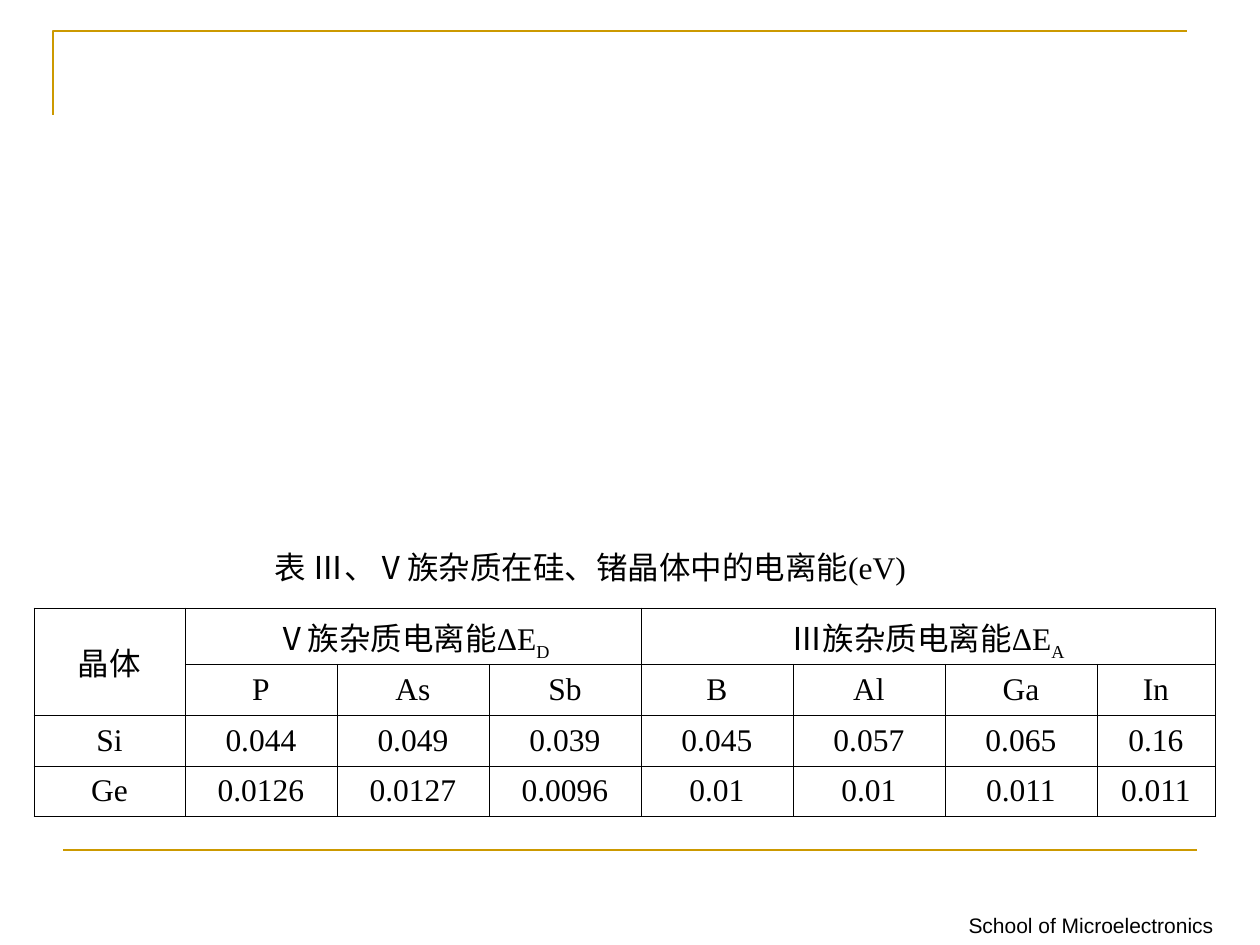
from dataclasses import dataclass

from lxml import etree
from pptx import Presentation
from pptx.dml.color import RGBColor
from pptx.enum.shapes import MSO_CONNECTOR
from pptx.enum.text import MSO_ANCHOR, PP_ALIGN
from pptx.oxml.ns import qn
from pptx.util import Pt

LINE = MSO_CONNECTOR.STRAIGHT
TOP, MID = MSO_ANCHOR.TOP, MSO_ANCHOR.MIDDLE
MID_AL, RIGHT = PP_ALIGN.CENTER, PP_ALIGN.RIGHT
SCALE = 914400 / 126  # EMU in one px


@dataclass(frozen=True)
class Theme:
    gold: str = "CC9900"
    ink: str = "000000"
    serif: str = "Times New Roman"
    sans: str = "Arial"
    body: float = 18
    small: float = 12
    rule: float = 1.5
    edge: float = 0.45
    hair: float = 0.06


THEME = Theme()

COLS = [151] + [152] * 6 + [118]
ROWS = [56, 51, 51, 50]
ROOT = (0, 0)
# Text at (row, column): rows down, columns across
SPANS = {ROOT: (2, 1), (0, 1): (1, 3), (0, 4): (1, 4)}
DATA = [
    ["晶体", "Ⅴ族杂质电离能ΔE|D", "", "", "Ⅲ族杂质电离能ΔE|A", "", "", ""],
    ["", "P", "As", "Sb", "B", "Al", "Ga", "In"],
    ["Si", "0.044", "0.049", "0.039", "0.045", "0.057", "0.065", "0.16"],
    ["Ge", "0.0126", "0.0127", "0.0096", "0.01", "0.01", "0.011", "0.011"],
]


def px(*vals):
    return [round(v * SCALE) for v in vals]


def write(frame, text, font=THEME.serif, size=THEME.body, align=MID_AL,
          before=0):
    """Write one paragraph; what follows a bar is set as a subscript."""
    para = frame.paragraphs[0]
    para.alignment = align
    para.space_before = Pt(before)
    for i, part in enumerate(text.split("|")):
        run = para.add_run()
        run.text = part
        run.font.name, run.font.size, run.font.bold = font, Pt(size), False
        run.font.color.rgb = RGBColor.from_string(THEME.ink)
        if i:
            run.font._element.set("baseline", "-25000")


def label(slide, box, text, anchor=TOP, wrap=True, **form):
    frame = slide.shapes.add_textbox(*px(*box)).text_frame
    frame.word_wrap = wrap
    frame.vertical_anchor = anchor
    write(frame, text, **form)


def stroke(shape):
    shape.line.color.rgb = RGBColor.from_string(THEME.gold)
    shape.line.width = Pt(THEME.rule)


def corner(slide, box):
    x, y, w, h = px(*box)
    pen = slide.shapes.build_freeform(x, y + h)
    pen.add_line_segments([(x, y), (x + w, y)], close=False)
    shape = pen.convert_to_shape()
    shape.shadow.inherit = False
    shape.fill.background()
    stroke(shape)


def footer(slide, box):
    x, y, w, h = box
    # Gold rule
    rule = slide.shapes.add_connector(LINE, *px(x + 57, y, x + 1191, y))
    etree.SubElement(rule._element.spPr, qn("a:effectLst"))
    stroke(rule)
    # School name
    label(slide, (x, y + h - 38, w, 38), "School of Microelectronics",
          font=THEME.sans, size=THEME.small, align=RIGHT, before=7.5)


def border(cell, outer):
    """Draw the four sides; those named in outer are the thicker ones."""
    props = cell._tc.get_or_add_tcPr()
    for side in "LRTB":
        wide = THEME.edge if side in outer else THEME.hair
        line = etree.SubElement(props, qn("a:ln" + side), w=str(Pt(wide)))
        fill = etree.SubElement(line, qn("a:solidFill"))
        etree.SubElement(fill, qn("a:srgbClr"), val=THEME.ink)


def grid(slide, box):
    rows, cols = len(ROWS), len(COLS)
    table = slide.shapes.add_table(rows, cols, *px(*box)).table
    table.first_row = table.horz_banding = False
    for col, wide in zip(table.columns, px(*COLS)):
        col.width = wide
    for row, high in zip(table.rows, px(*ROWS)):
        row.height = high
    for (r, c), (down, over) in SPANS.items():
        table.cell(r, c).merge(table.cell(r + down - 1, c + over - 1))

    for r, line in enumerate(DATA):
        for c, text in enumerate(line):
            cell = table.cell(r, c)
            down, over = SPANS.get((r, c), (1, 1))
            sides = {"L": c == 0, "R": c + over == cols,
                     "T": r == 0, "B": r + down == rows}
            border(cell, [side for side, on in sides.items() if on])
            cell.fill.background()
            cell.vertical_anchor = MID
            if text:
                write(cell.text_frame, text, before=4.5 if "|" in text else 0)


def main():
    deck = Presentation()
    deck.slide_width, deck.slide_height = px(1260, 945)
    slide = deck.slides.add_slide(deck.slide_layouts[6])
    corner(slide, (53, 31, 1134, 84))
    footer(slide, (6, 850, 1220, 94))
    # Table caption
    label(slide, (254, 542, 672, 50), "表 Ⅲ、Ⅴ族杂质在硅、锗晶体中的电离能(eV)",
          anchor=MID, wrap=False)
    grid(slide, (34, 608, sum(COLS), sum(ROWS)))
    deck.save("out.pptx")


if __name__ == "__main__":
    main()
